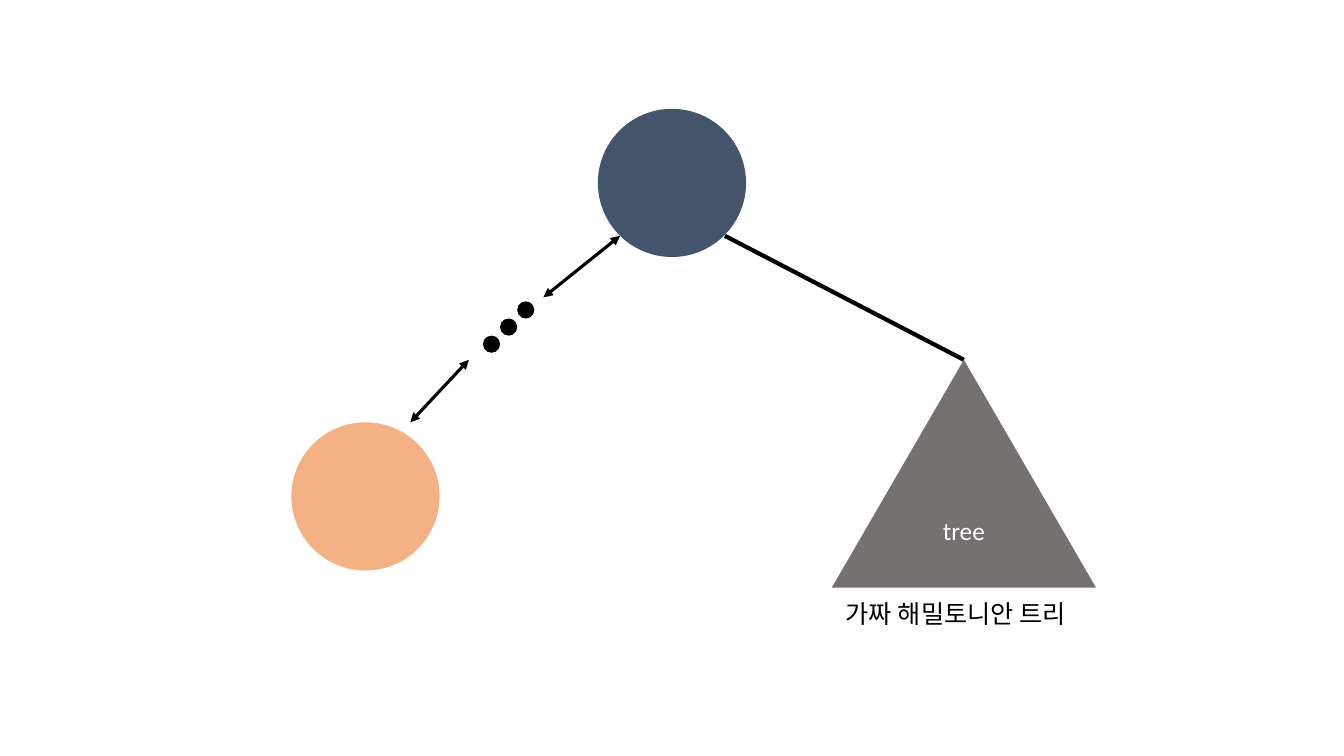
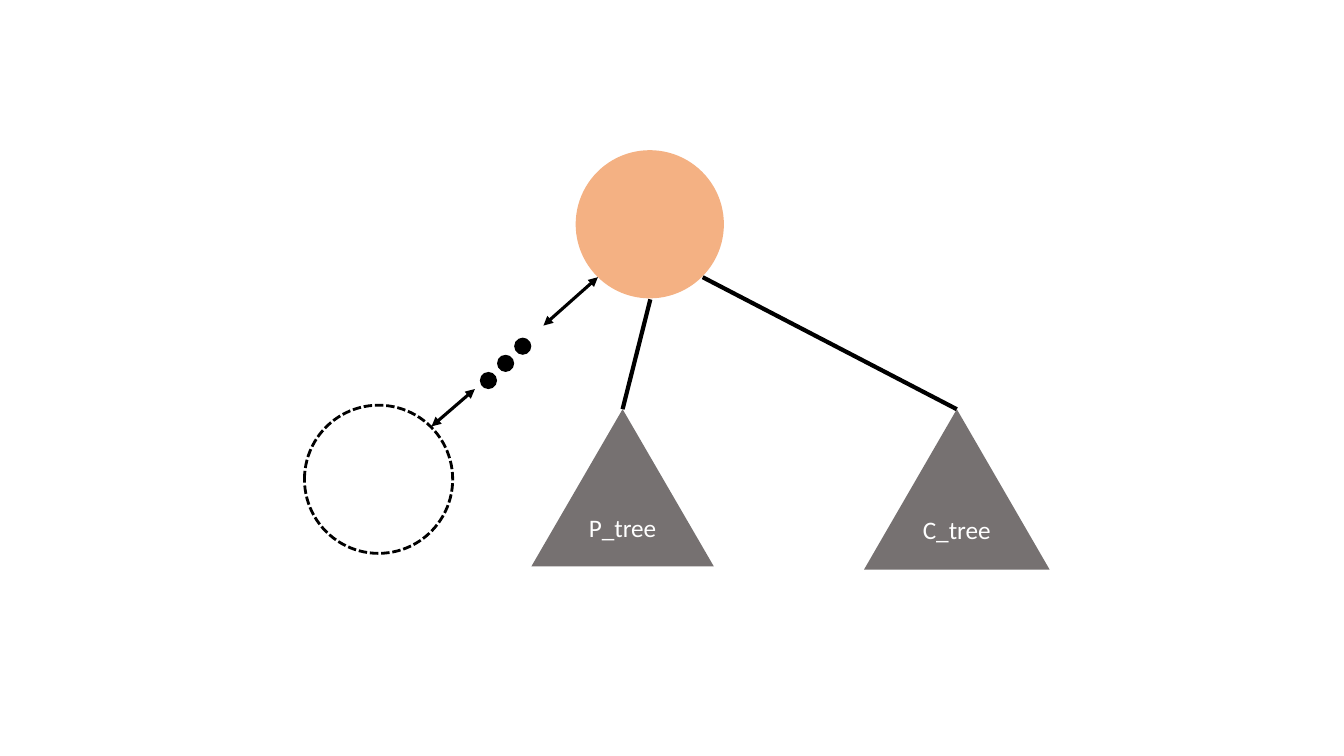
from lxml import etree
from pptx import Presentation
from pptx.dml.color import RGBColor
from pptx.enum import dml, shapes, text
from pptx.oxml import ns
from pptx.util import Inches, Pt

COLORS = {
    "navy": "44546A",
    "orange": "F4B183",
    "gray": "767171",
    "black": "000000",
    "white": "FFFFFF",
}
FONT = "Calibri"
NODE_SIZE = 1.47
DOT_SIZE = 0.17
DOT_STEP = 0.17


def rgb(name):
    """Return the palette colour with this name."""
    return RGBColor.from_string(COLORS[name])


def add_label(paragraph, label, color):
    """Add one run of label text to a paragraph."""
    run = paragraph.add_run()
    run.text = label
    run.font.name = FONT
    run.font.size = Pt(18)
    run.font.color.rgb = rgb(color)


def add_filled(slide, preset, left, top, width, height, color):
    """Add a preset shape with a flat fill and no outline."""
    shape = slide.shapes.add_shape(
        preset, Inches(left), Inches(top), Inches(width), Inches(height))
    shape.shadow.inherit = False
    shape.fill.solid()
    shape.fill.fore_color.rgb = rgb(color)
    shape.line.fill.background()
    return shape


def add_circle(slide, left, top, color, size=NODE_SIZE):
    """Add a round node or dot."""
    return add_filled(slide, shapes.MSO_SHAPE.OVAL, left, top, size, size, color)


def add_empty_node(slide, left, top):
    """Add a white node with a dashed outline."""
    node = add_circle(slide, left, top, "white")
    node.line.color.rgb = rgb("black")
    node.line.width = Pt(2)
    node.line.dash_style = dml.MSO_LINE.SQUARE_DOT


def add_line(slide, start, end, width=3, arrows=False):
    """Add a straight black line, with arrowheads at both ends if asked."""
    line = slide.shapes.add_connector(
        shapes.MSO_CONNECTOR.STRAIGHT,
        *(Inches(value) for value in (*start, *end)))
    line.line.color.rgb = rgb("black")
    line.line.width = Pt(width)
    if arrows:
        outline = line.line._get_or_add_ln()
        for tag in ("a:headEnd", "a:tailEnd"):
            etree.SubElement(outline, ns.qn(tag), type="triangle")
    etree.SubElement(line._element.spPr, ns.qn("a:effectLst"))


def add_subtree(slide, left, top, width, height, label, parent_point):
    """Add a labelled triangle and the line from its apex to the parent."""
    add_line(slide, (left + width / 2, top), parent_point)
    subtree = add_filled(slide, shapes.MSO_SHAPE.ISOSCELES_TRIANGLE,
                         left, top, width, height, "gray")
    subtree.text_frame.vertical_anchor = text.MSO_ANCHOR.MIDDLE
    paragraph = subtree.text_frame.paragraphs[0]
    paragraph.alignment = text.PP_ALIGN.CENTER
    add_label(paragraph, label, "white")


def add_elided_chain(slide, upper_arrow, lower_arrow, first_dot):
    """Add two double arrows with three dots falling to the left between them."""
    for start, end in (upper_arrow, lower_arrow):
        add_line(slide, start, end, width=2.25, arrows=True)
    left, top = first_dot
    for index in range(3):
        add_circle(slide, left - index * DOT_STEP, top + index * DOT_STEP,
                   "black", DOT_SIZE)


def add_caption(slide, left, top, width, height, caption):
    """Add a single-line caption."""
    box = slide.shapes.add_textbox(
        Inches(left), Inches(top), Inches(width), Inches(height))
    box.text_frame.word_wrap = False
    box.text_frame.auto_size = text.MSO_AUTO_SIZE.SHAPE_TO_FIT_TEXT
    add_label(box.text_frame.paragraphs[0], caption, "black")


def build_fake_tree(slide):
    """Draw the root with a distant node and one subtree."""
    add_circle(slide, 5.93, 1.08, "navy")
    add_subtree(slide, 8.25, 3.57, 2.62, 2.26, "tree", (7.19, 2.34))
    add_circle(slide, 2.89, 4.19, "orange")
    add_caption(slide, 8.29, 5.89, 2.59, 0.4, "가짜 해밀토니안 트리")
    add_elided_chain(slide, ((6.15, 2.34), (5.39, 2.95)),
                     ((4.65, 3.57), (4.07, 4.19)), (5.13, 2.99))


def build_rerooted_tree(slide):
    """Draw the new root with an emptied node and two subtrees."""
    add_circle(slide, 5.71, 1.49, "orange")
    add_subtree(slide, 5.27, 4.06, 1.81, 1.56, "P_tree", (6.45, 2.97))
    add_subtree(slide, 8.57, 4.06, 1.84, 1.59, "C_tree", (6.97, 2.75))
    add_empty_node(slide, 3.02, 4.02)
    add_elided_chain(slide, ((5.93, 2.75), (5.39, 3.23)),
                     ((4.71, 3.86), (4.28, 4.23)), (5.1, 3.35))


def main():
    """Build both slides and save the presentation."""
    deck = Presentation()
    deck.slide_width = Inches(13.33)
    deck.slide_height = Inches(7.5)
    blank = deck.slide_layouts[6]
    for build in (build_fake_tree, build_rerooted_tree):
        build(deck.slides.add_slide(blank))
    deck.save("out.pptx")


main()
